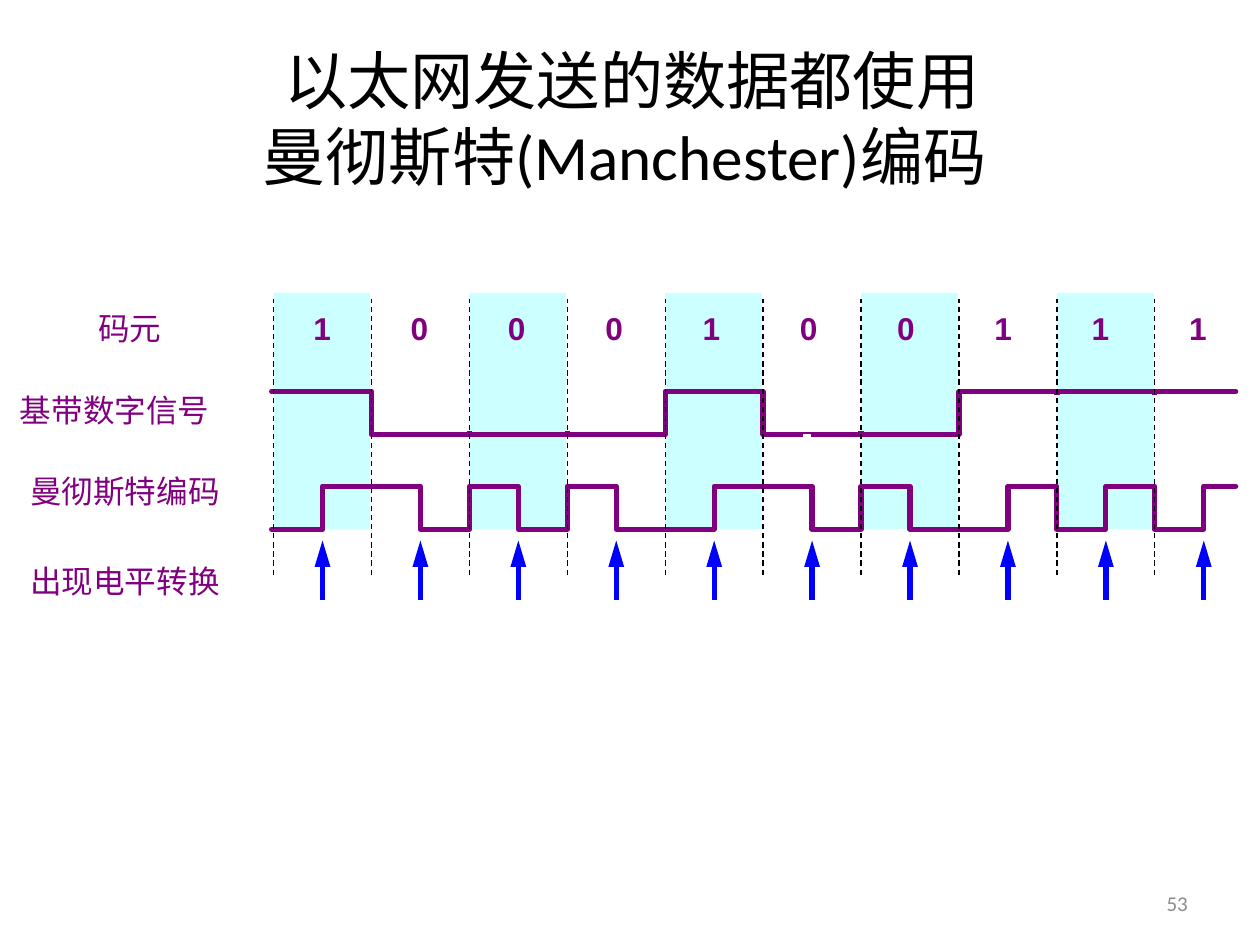
"""Build a slide on Manchester encoding in Ethernet."""
from lxml import etree
from pptx import Presentation
from pptx.dml.color import RGBColor
from pptx.enum.dml import MSO_LINE
from pptx.enum.shapes import MSO_CONNECTOR, MSO_SHAPE
from pptx.enum.text import MSO_ANCHOR, PP_ALIGN
from pptx.oxml.ns import qn
from pptx.util import Inches, Pt

DASH = MSO_LINE.DASH
STRAIGHT = MSO_CONNECTOR.STRAIGHT
RECTANGLE = MSO_SHAPE.RECTANGLE
MIDDLE, TOP = MSO_ANCHOR.MIDDLE, MSO_ANCHOR.TOP
LEFT, CENTER, RIGHT = PP_ALIGN.LEFT, PP_ALIGN.CENTER, PP_ALIGN.RIGHT

COLORS = {
    "title": "000000",
    "signal": "800080",
    "band": "CCFFFF",
    "gap": "FFFFFF",
    "boundary": "000000",
    "arrow": "0000FF",
    "page": "8C8C8C",
}
BITS = "1000100111"
CELL = 0.1
FIRST_EDGE, BIT_WIDTH = 21.65, 7.75
FIRST_DIGIT, DIGIT_PITCH = 25.5, 7.7
WAVE_START, WAVE_END = 21.5, 97.8
BASEBAND = {"1": 31, "0": 34.4}
MANCHESTER = {"1": 38.5, "0": 41.9}
HALVES = {"1": "01", "0": "10"}
TICK = 0.3
LABELS = [
    ("码元", 6.8, 24),
    ("基带数字信号", 0.6, 30.5),
    ("曼彻斯特编码", 1.4, 36.9),
    ("出现电平转换", 1.4, 44),
]


def cells(count):
    """Convert grid cells to a length."""
    return Inches(count * CELL)


def edge(bit):
    """Return the grid column where a bit starts; halves are allowed."""
    return FIRST_EDGE + bit * BIT_WIDTH


def color(name):
    """Look up a named colour."""
    return RGBColor.from_string(COLORS[name])


def add_text(slide, text, box, size, ink, font="Arial", align=LEFT, anchor=TOP, bold=False):
    """Add a one-paragraph text box."""
    frame = slide.shapes.add_textbox(*map(cells, box)).text_frame
    frame.word_wrap = True
    frame.vertical_anchor = anchor
    frame.text = text
    paragraph = frame.paragraphs[0]
    paragraph.alignment = align
    paragraph.font.name = font
    paragraph.font.size = Pt(size)
    paragraph.font.bold = bold
    paragraph.font.color.rgb = color(ink)


def add_block(slide, box, fill, outline=None):
    """Add a flat rectangle, with an outline if one is named."""
    block = slide.shapes.add_shape(RECTANGLE, *map(cells, box))
    block.shadow.inherit = False
    block.fill.solid()
    block.fill.fore_color.rgb = color(fill)
    if outline:
        block.line.color.rgb = color(outline)
        block.line.width = Pt(0.75)
    else:
        block.line.fill.background()


def add_vertical(slide, x, start, end, ink, width, dash=None, arrow=False):
    """Add a vertical line, dashed or with an arrowhead on request."""
    line = slide.shapes.add_connector(STRAIGHT, *map(cells, (x, start, x, end)))
    line.line.color.rgb = color(ink)
    line.line.width = Pt(width)
    if dash:
        line.line.dash_style = dash
    if arrow:
        etree.SubElement(line.line._get_or_add_ln(), qn("a:tailEnd"), type="triangle", w="med", len="lg")
    etree.SubElement(line._element.spPr, qn("a:effectLst"))


def add_wave(slide, steps, levels):
    """Draw a square wave from (column, symbol) steps."""
    points = [(WAVE_START, levels[steps[0][1]])]
    for x, symbol in steps[1:]:
        if levels[symbol] != points[-1][1]:
            points += [(x, points[-1][1]), (x, levels[symbol])]
    points.append((WAVE_END, points[-1][1]))
    corners = [(cells(x), cells(y)) for x, y in points]
    builder = slide.shapes.build_freeform(*corners[0], scale=1.0)
    builder.add_line_segments(corners[1:], close=False)
    wave = builder.convert_to_shape()
    wave.shadow.inherit = False
    wave.fill.background()
    wave.line.color.rgb = color("signal")
    wave.line.width = Pt(3)
    stroke = wave.line._get_or_add_ln()
    stroke.set("cap", "rnd")
    etree.SubElement(stroke, qn("a:round"))


def add_baseband(slide):
    """Draw the baseband signal with ticks between equal bits."""
    add_wave(slide, [(edge(i), bit) for i, bit in enumerate(BITS)], BASEBAND)
    for i, (before, after) in enumerate(zip(BITS, BITS[1:]), start=1):
        if before == after:
            top = BASEBAND[after] - (TICK if after == "0" else 0)
            add_vertical(slide, edge(i), top + TICK, top, "signal", 3)


def add_manchester(slide):
    """Draw the Manchester code, which changes level inside every bit."""
    halves = "".join(HALVES[bit] for bit in BITS)
    add_wave(slide, [(edge(i / 2), half) for i, half in enumerate(halves)], MANCHESTER)


def main():
    """Build and save the slide."""
    deck = Presentation()
    deck.slide_width, deck.slide_height = Pt(718), Pt(537)
    slide = deck.slides.add_slide(deck.slide_layouts[6])

    add_text(slide, "以太网发送的数据都使用\v曼彻斯特(Manchester)编码 ", (5, 3, 90, 12.5),
             36, "title", "Calibri", CENTER, MIDDLE)
    for label, left, top in LABELS:
        add_text(slide, label, (left, top, 19, 4), 18, "signal")
    for i in range(0, len(BITS), 2):
        add_block(slide, (edge(i), 23.2, 7.65, 18.7), "band")
    for i, bit in enumerate(BITS):
        middle = FIRST_DIGIT + i * DIGIT_PITCH
        add_text(slide, bit, (middle - 2, 24, 4, 4), 18, "signal", align=CENTER, bold=True)

    add_baseband(slide)
    add_manchester(slide)
    add_block(slide, (63.6, 34.4, 0.5, 0.2), "gap", "gap")
    for i in range(len(BITS)):
        add_vertical(slide, edge(i), 45.5, 23.7, "boundary", 0.75, dash=DASH)
    for i in range(len(BITS)):
        add_vertical(slide, edge(i + 0.5), 47.5, 42.8, "arrow", 3, arrow=True)

    add_text(slide, "53", (71.7, 69.5, 23.3, 4), 12, "page", "Calibri", RIGHT, MIDDLE)
    deck.save("out.pptx")


if __name__ == "__main__":
    main()
